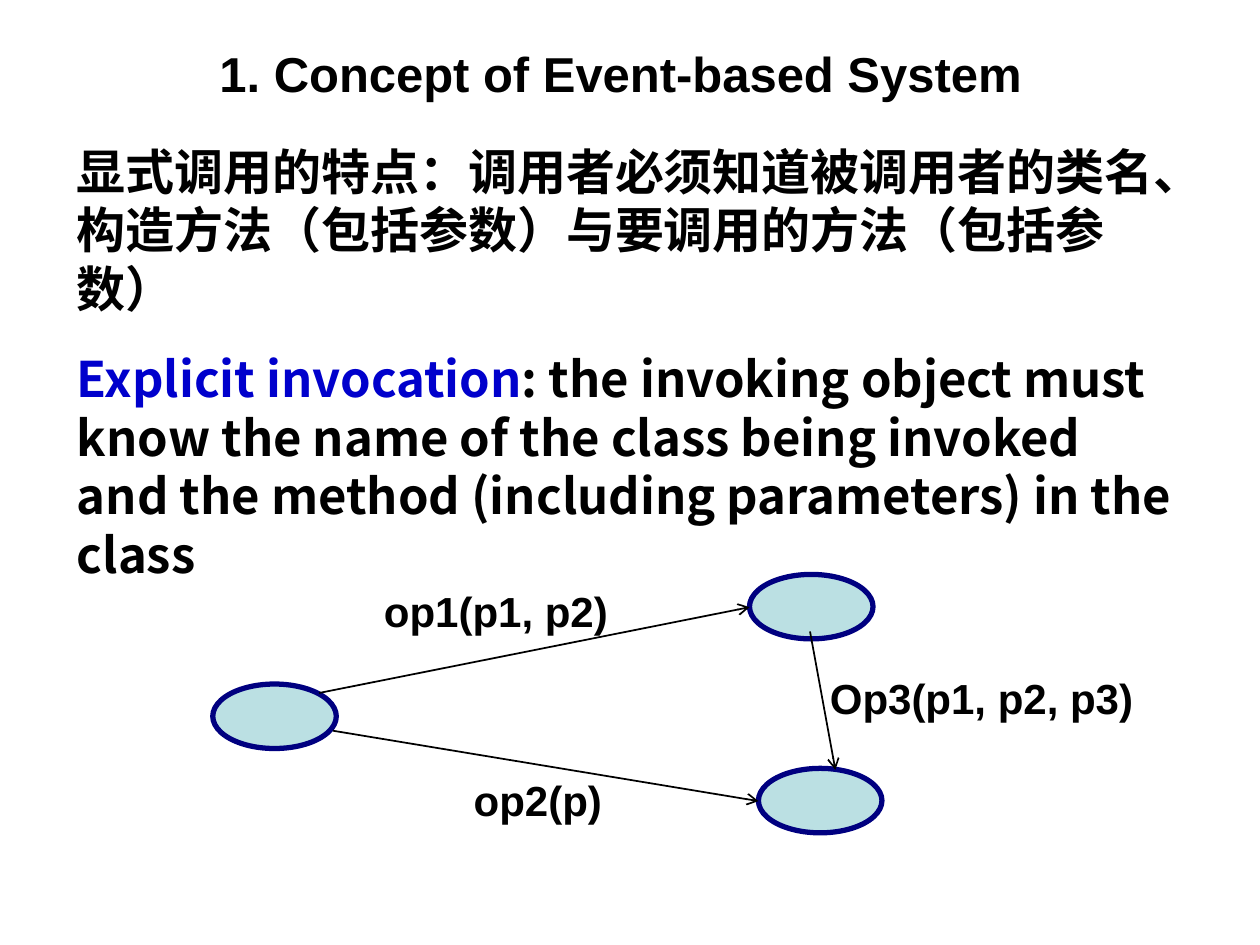
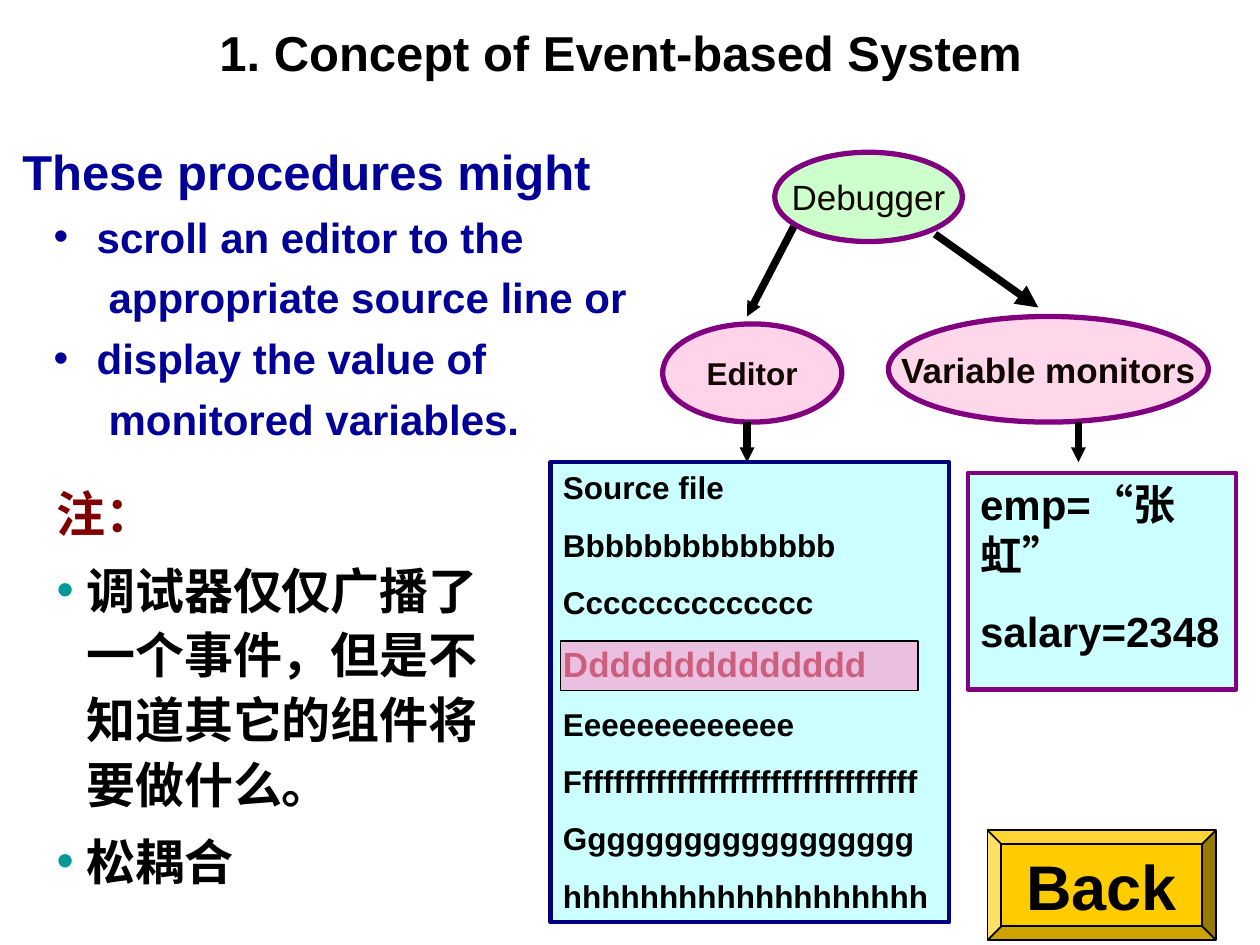
from dataclasses import dataclass

from lxml import etree
from pptx import Presentation
from pptx.dml.color import RGBColor
from pptx.enum.shapes import MSO_CONNECTOR, MSO_SHAPE
from pptx.enum.text import MSO_ANCHOR, PP_ALIGN
from pptx.oxml.ns import qn
from pptx.util import Cm, Pt

OVAL, RECT, BEVEL = MSO_SHAPE.OVAL, MSO_SHAPE.RECTANGLE, MSO_SHAPE.BEVEL
STRAIGHT = MSO_CONNECTOR.STRAIGHT
LEFT, CENTER = PP_ALIGN.LEFT, PP_ALIGN.CENTER
TOP, MIDDLE = MSO_ANCHOR.TOP, MSO_ANCHOR.MIDDLE


@dataclass(frozen=True)
class Theme:
    latin: str = "Arial"
    han: str = "Noto Sans CJK SC"
    black: str = "000000"
    ink: str = "100800"
    navy: str = "000080"
    blue: str = "0000CC"
    deep: str = "000099"
    maroon: str = "800000"
    purple: str = "800080"
    teal: str = "009999"
    pale: str = "BBE0E3"
    mint: str = "CCFFCC"
    aqua: str = "CCFFFF"
    pink: str = "FF99CC"
    gold: str = "FFCC00"
    big: int = 36
    head: int = 28
    body: int = 24
    node: int = 20
    code: int = 18


T = Theme()
TITLE = "1. Concept of Event-based System"


def rgb(color):
    return RGBColor.from_string(color)


def shift(box, x, y):
    """Turn a point inside the box into a point on the slide."""
    return box[0] + x, box[1] + y


def style(run, size, color, face=T.latin, bold=True):
    font = run.font
    font.size, font.bold, font.name = Pt(size), bold, face
    font.color.rgb = rgb(color)
    east = etree.SubElement(run._r.get_or_add_rPr(), qn("a:ea"))
    east.set("typeface", T.han)


def write(shape, lines, size, color=T.black, face=T.latin, bold=True,
          align=LEFT, anchor=TOP, wrap=True, before=0, line=None):
    """Fill the shape with one paragraph for each line."""
    frame = shape.text_frame
    frame.text = "\n".join(lines)
    frame.word_wrap, frame.vertical_anchor = wrap, anchor
    for para in frame.paragraphs:
        para.alignment = align
        para.space_before = Pt(before)
        if line:
            para.line_spacing = line
        for run in para.runs:
            style(run, size, color, face, bold)
    return frame.paragraphs


def indent(para, left, hang=0, color=None):
    """Indent a paragraph; a colour also gives it a bullet."""
    props = para._p.get_or_add_pPr()
    props.set("marL", str(Cm(left)))
    props.set("indent", str(-Cm(hang)))
    if color:
        tint = etree.SubElement(props, qn("a:buClr"))
        etree.SubElement(tint, qn("a:srgbClr")).set("val", color)
        etree.SubElement(props, qn("a:buFont")).set("typeface", T.latin)
        etree.SubElement(props, qn("a:buChar")).set("char", "•")


def text(slide, box, lines, size, **look):
    shape = slide.shapes.add_textbox(*map(Cm, box))
    return write(shape, lines, size, **look)


def draw(slide, kind, box, fill, edge, width, alpha=None):
    shape = slide.shapes.add_shape(kind, *map(Cm, box))
    shape.shadow.inherit = False
    shape.fill.solid()
    shape.fill.fore_color.rgb = rgb(fill)
    shape.line.color.rgb = rgb(edge)
    shape.line.width = Pt(width)
    if alpha:
        tint = shape._element.spPr.find(qn("a:solidFill"))[0]
        etree.SubElement(tint, qn("a:alpha")).set("val", str(alpha * 1000))
    return shape


def arrow(slide, start, end, width, head, size="med"):
    link = slide.shapes.add_connector(STRAIGHT, *map(Cm, start + end))
    link.line.color.rgb = rgb(T.black)
    link.line.width = Pt(width)
    tip = etree.SubElement(link.line._get_or_add_ln(), qn("a:tailEnd"))
    for key, value in (("type", head), ("w", size), ("len", size)):
        tip.set(key, value)
    etree.SubElement(link._element.spPr, qn("a:effectLst"))


def title(slide, top):
    text(slide, (0.89, top, 23.24, 1.56), [TITLE], T.head, align=CENTER)


def claim(slide, box):
    term = "Explicit invocation"
    lines = ["显式调用的特点：调用者必须知道被调用者的类名、构造方法"
             "（包括参数）与要调用的方法（包括参数）", term]
    last = text(slide, box, lines, T.head, face=T.han, before=17.5)[-1]
    last.runs[0].font.color.rgb = rgb(T.blue)
    rest = last.add_run()
    rest.text = (": the invoking object must know the name of the class being "
                 "invoked and the method (including parameters) in the class")
    style(rest, T.head, T.black, T.han)


def calls(slide, box):
    """Draw three objects that call each other by name."""
    for x, y in ((0, 2.21), (10.82, 0), (11, 3.91)):
        draw(slide, OVAL, (*shift(box, x, y), 2.49, 1.3), T.pale, T.navy, 3)
    for label, x, y, wide in (("op1(p1, p2)", 3.2, 0.1, 5.21),
                              ("op2(p)", 5.01, 3.91, 3.4),
                              ("Op3(p1, p2, p3)", 12.19, 1.86, 6.81)):
        text(slide, (*shift(box, x, y), wide, 1.27), [label], T.body, before=15)
    for start, end in (((2.14, 2.39), (10.82, 0.66)),
                       ((2.42, 3.15), (11, 4.57)),
                       ((12.04, 1.15), (12.55, 3.94))):
        arrow(slide, shift(box, *start), shift(box, *end), 1, "arrow")


def steps(slide, box):
    lines = ["These procedures might", "scroll an editor to the",
             "appropriate source line or", "display the value of",
             "monitored variables."]
    first, *rest = text(slide, box, lines, T.body, color=T.deep,
                        before=3, line=1.1)
    first.space_before = Pt(3.5)
    first.runs[0].font.size = Pt(T.head)
    for at, para in enumerate(rest):
        if at % 2:
            indent(para, 1.74)
        else:
            indent(para, 1.5, 0.87, T.deep)


def notes(slide, box):
    lines = ["注：", "调试器仅仅广播了一个事件，但是不知道其它的组件将要做什么。",
             "松耦合"]
    first, *rest = text(slide, box, lines, T.head, face=T.han,
                        before=7, line=1.1)
    first.runs[0].font.color.rgb = rgb(T.maroon)
    for para in rest:
        indent(para, 0.6, 0.6, T.teal)


def source(slide, box):
    """List the source file and mark its current line."""
    lines = ["Source file", "Bbbbbbbbbbbbbb", "Cccccccccccccc",
             "Dddddddddddddd", "Eeeeeeeeeeeee",
             "Fffffffffffffffffffffffffffffffff", "Gggggggggggggggggg",
             "hhhhhhhhhhhhhhhhhhh"]
    panel = draw(slide, RECT, box, T.aqua, T.navy, 2.5)
    mark = write(panel, lines, T.code, before=11.2)[3]
    mark.space_before = Pt(12.5)
    mark.runs[0].font.size = Pt(T.node)
    mark.runs[0].font.color.rgb = rgb(T.maroon)
    draw(slide, RECT, (*shift(box, 0.2, 3.61), 7.21, 0.99),
         T.pink, T.black, 1, 62)


def flow(slide, box):
    """Draw the debugger, its two listeners and what they show."""
    for name, x, y, wide, high, fill, alpha, size, bold in (
            ("Debugger", 4.52, 0, 3.78, 1.8, T.mint, None, T.node, False),
            ("Editor", 2.26, 3.46, 3.61, 1.98, T.pink, 43, T.code, True),
            ("Variable monitors", 6.81, 3.31, 6.45, 2.13, T.pink, 39,
             T.node, True)):
        node = draw(slide, OVAL, (*shift(box, x, y), wide, high),
                    fill, T.purple, 3, alpha)
        write(node, [name], size, color=T.ink, bold=bold, align=CENTER,
              anchor=MIDDLE, wrap=False)
    source(slide, (*shift(box, 0, 6.25), 8.03, 9.27))
    values = draw(slide, RECT, (*shift(box, 8.41, 6.46), 5.41, 4.37),
                  T.aqua, T.purple, 2.5)
    write(values, ["emp=“张虹”", "salary=2348"], T.body, before=15)
    for start, end, size in (((7.75, 1.65), (9.83, 3.13), "med"),
                             ((4.9, 1.5), (3.96, 3.31), "sm"),
                             ((3.96, 5.44), (3.96, 6.25), "sm"),
                             ((10.64, 5.44), (10.64, 6.25), "sm")):
        arrow(slide, shift(box, *start), shift(box, *end),
              4.25, "triangle", size)


def button(slide, box):
    back = draw(slide, BEVEL, box, T.gold, T.black, 1)
    write(back, ["Back"], T.big, align=CENTER, anchor=MIDDLE, wrap=False)


def explicit(slide):
    claim(slide, (1.3, 2.72, 22.6, 9.17))
    calls(slide, (4.29, 11.58, 19, 5.21))
    title(slide, 0.76)


def events(slide):
    steps(slide, (0.2, 2.62, 12.8, 6.45))
    notes(slide, (0.89, 9.5, 9.19, 8.59))
    flow(slide, (11.1, 3.07, 13.82, 15.52))
    button(slide, (19.91, 16.74, 4.6, 2.21))
    title(slide, 0.33)


def main():
    deck = Presentation()
    deck.slide_width, deck.slide_height = Cm(25.4), Cm(19.05)
    for build in (explicit, events):
        build(deck.slides.add_slide(deck.slide_layouts[6]))
    deck.save("out.pptx")


if __name__ == "__main__":
    main()
